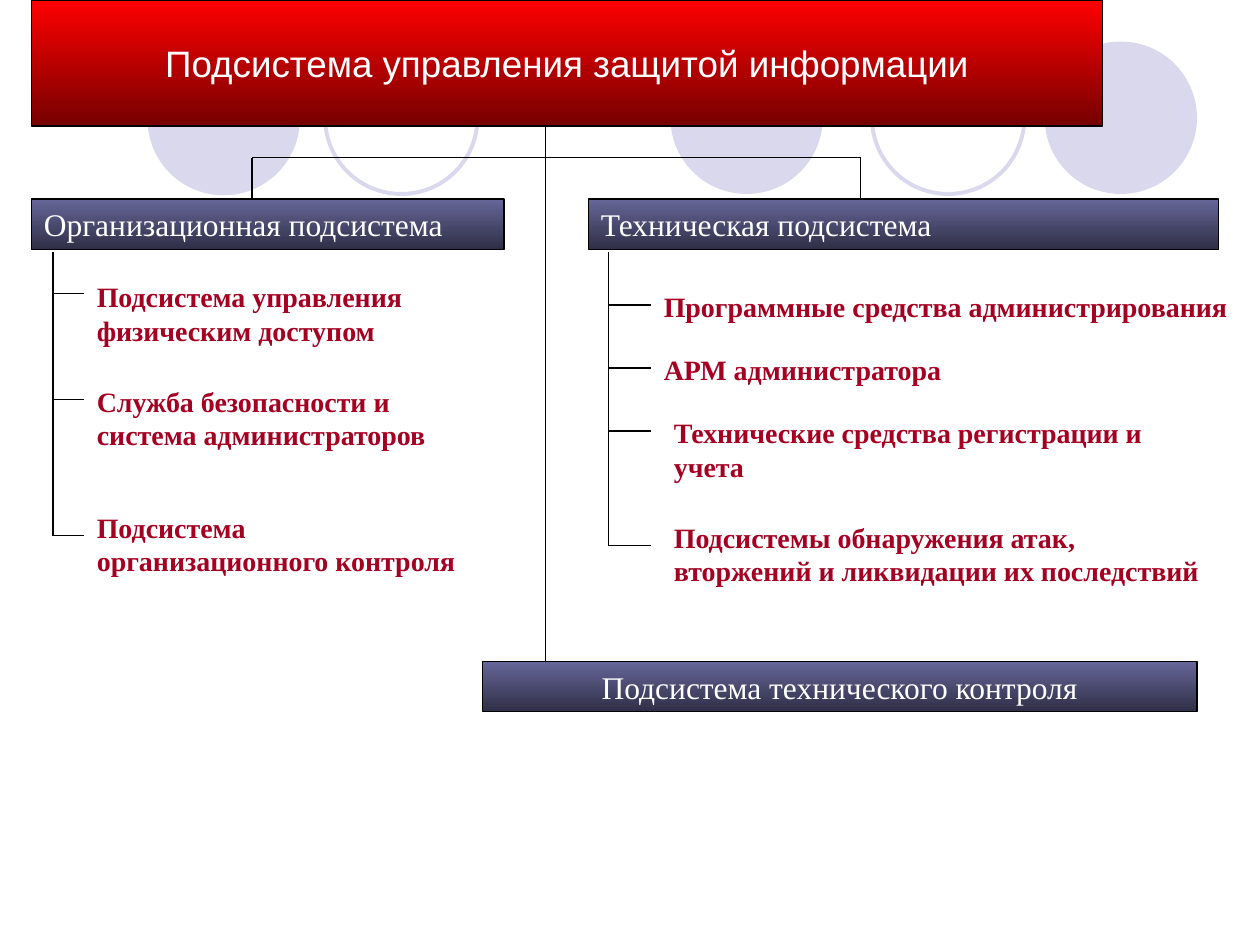
import pptx
import pptx.util
import pptx.dml.color
import pptx.enum.shapes
import pptx.enum.text
import pptx.oxml.ns
import lxml.etree
from dataclasses import dataclass

Inches = pptx.util.Inches
Pt = pptx.util.Pt
RGB = pptx.dml.color.RGBColor.from_string
SHAPES = pptx.enum.shapes.MSO_SHAPE
ALIGN = pptx.enum.text.PP_ALIGN
ANCHOR = pptx.enum.text.MSO_ANCHOR


@dataclass(frozen=True)
class Theme:
    circle: str = "D9D8EC"
    title_fill: tuple = ("FF0000", "760000")
    header_fill: tuple = ("666699", "2F2F47")
    header_text: str = "FFFFFF"
    item_text: str = "A50021"
    line: str = "000000"
    title_font: str = "Arial"
    body_font: str = "Times New Roman"
    title_size: int = 21
    header_size: int = 18
    item_size: int = 16
    line_width: float = 0.75
    ring_width: float = 2.25


theme = Theme()
deck = pptx.Presentation()
deck.slide_width, deck.slide_height = Inches(10), Inches(7.5)
slide = deck.slides.add_slide(deck.slide_layouts[6])


def write(box, text, font, size, color, bold=False, align=ALIGN.LEFT, anchor=ANCHOR.TOP):
    frame = box.text_frame
    frame.word_wrap = True
    frame.vertical_anchor = anchor
    frame.margin_left = frame.margin_right = Inches(0.1)
    frame.margin_top = frame.margin_bottom = Inches(0.05)
    paragraph = frame.paragraphs[0]
    paragraph.alignment = align
    run = paragraph.add_run()
    run.text = text
    run.font.name = font
    run.font.size = Pt(size)
    run.font.bold = bold
    run.font.color.rgb = RGB(color)


def connect(x1, y1, x2, y2):
    link = slide.shapes.add_connector(
        pptx.enum.shapes.MSO_CONNECTOR.STRAIGHT, Inches(x1), Inches(y1), Inches(x2), Inches(y2))
    link.line.color.rgb = RGB(theme.line)
    link.line.width = Pt(theme.line_width)
    lxml.etree.SubElement(link._element.spPr, pptx.oxml.ns.qn("a:effectLst"))


for left, top, filled in [(5.32, 0.33, True), (8.29, 0.33, True), (1.17, 0.34, True),
                          (6.92, 0.33, False), (2.58, 0.33, False)]:
    circle = slide.shapes.add_shape(
        SHAPES.OVAL, Inches(left), Inches(top), Inches(1.21), Inches(1.21))
    circle.shadow.inherit = False
    if filled:
        circle.fill.solid()
        circle.fill.fore_color.rgb = RGB(theme.circle)
        circle.line.fill.background()
    else:
        circle.fill.background()
        circle.line.color.rgb = RGB(theme.circle)
        circle.line.width = Pt(theme.ring_width)

title_style = (theme.title_font, theme.title_size)
header_style = (theme.body_font, theme.header_size)
banners = [
    ("Подсистема управления защитой информации", 0.25, 0, 8.5, 1,
     theme.title_fill, title_style, ALIGN.CENTER, ANCHOR.MIDDLE),
    ("Организационная подсистема", 0.25, 1.58, 3.75, 0.4,
     theme.header_fill, header_style, ALIGN.LEFT, ANCHOR.TOP),
    ("Техническая подсистема", 4.67, 1.58, 5, 0.4,
     theme.header_fill, header_style, ALIGN.LEFT, ANCHOR.TOP),
    ("Подсистема технического контроля", 3.83, 5.25, 5.67, 0.4,
     theme.header_fill, header_style, ALIGN.CENTER, ANCHOR.TOP),
]
for text, left, top, width, height, shades, (font, size), align, anchor in banners:
    banner = slide.shapes.add_shape(
        SHAPES.RECTANGLE, Inches(left), Inches(top), Inches(width), Inches(height))
    banner.shadow.inherit = False
    banner.fill.gradient()
    banner.fill.gradient_angle = 270
    for stop, shade, position in zip(banner.fill.gradient_stops, shades, (0, 1)):
        stop.color.rgb = RGB(shade)
        stop.position = position
    banner.line.color.rgb = RGB(theme.line)
    banner.line.width = Pt(theme.line_width)
    write(banner, text, font, size, theme.header_text, align=align, anchor=anchor)

branches = [
    (0.42, 0.67, [
        ("Подсистема управления физическим доступом", 0.67, 2.17, 3.33, 0.64, 2.33),
        ("Служба безопасности и система администраторов", 0.67, 3, 3.25, 0.64, 3.17),
        ("Подсистема организационного контроля", 0.67, 4, 3.08, 0.64, 4.25),
    ]),
    (4.83, 5.17, [
        ("Программные средства администрирования", 5.17, 2.25, 4.83, 0.37, 2.42),
        ("АРМ администратора", 5.17, 2.75, 4.83, 0.37, 2.92),
        ("Технические средства регистрации и учета", 5.25, 3.25, 4.25, 0.64, 3.42),
        ("Подсистемы обнаружения атак, вторжений и ликвидации их последствий",
         5.25, 4.08, 4.42, 0.64, 4.33),
    ]),
]
for trunk_x, tick_end, items in branches:
    connect(trunk_x, 2, trunk_x, items[-1][-1])
    for text, left, top, width, height, tick_y in items:
        connect(trunk_x, tick_y, tick_end, tick_y)
        item = slide.shapes.add_textbox(Inches(left), Inches(top), Inches(width), Inches(height))
        write(item, text, theme.body_font, theme.item_size, theme.item_text, bold=True)

fork_y = 1.25
connect(2, fork_y, 6.83, fork_y)
for header_x in (2, 6.83):
    connect(header_x, fork_y, header_x, 1.58)
for start_y, end_y in [(1, fork_y), (fork_y, 5.25)]:
    connect(4.33, start_y, 4.33, end_y)

deck.save("out.pptx")
